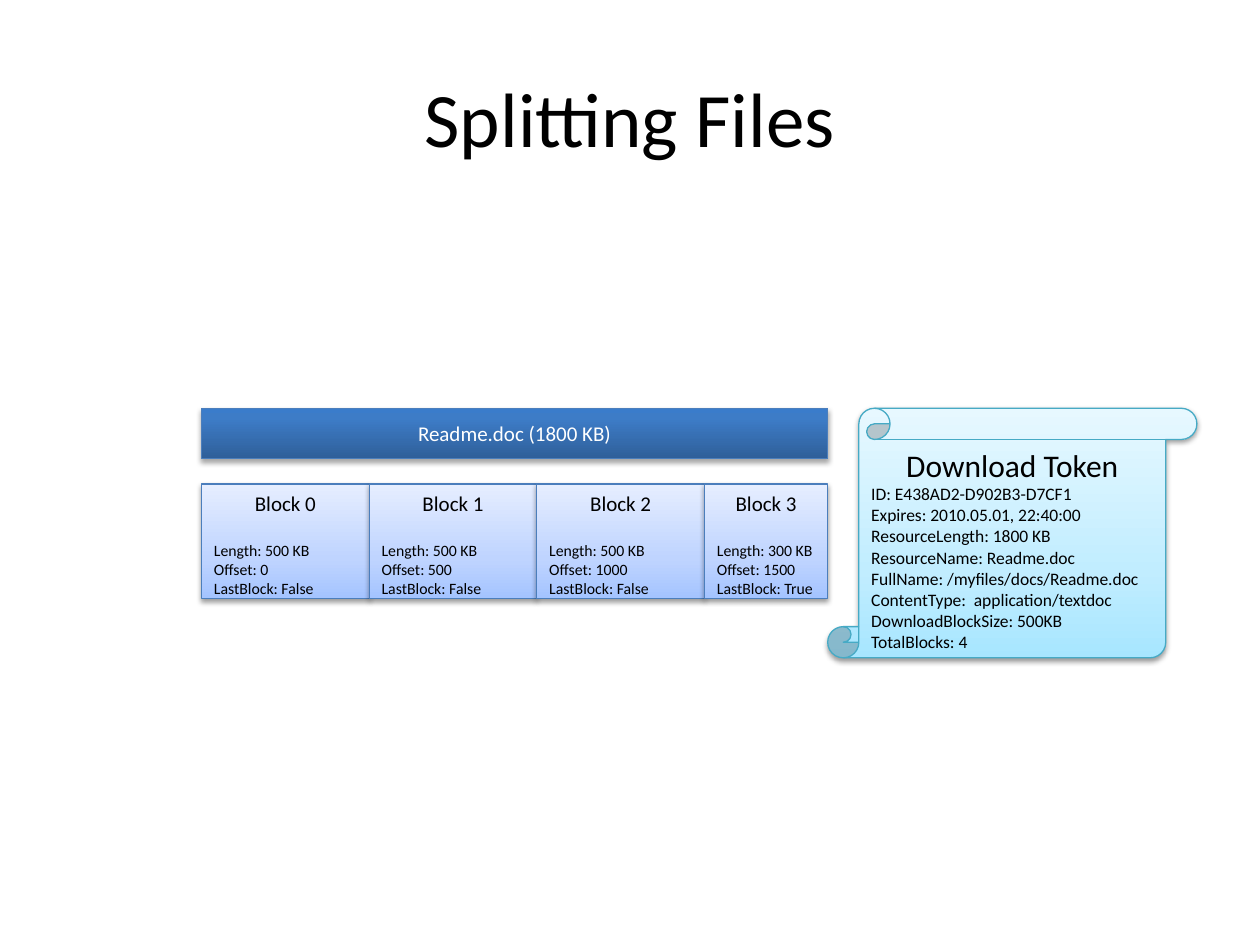
from dataclasses import dataclass

from lxml import etree
from pptx import Presentation
from pptx.dml.color import RGBColor
from pptx.enum import shapes as sh, text as tx
from pptx.oxml.ns import qn
from pptx.util import Pt

FONT = "Calibri"
BLACK, WHITE = "000000", "FFFFFF"


@dataclass(frozen=True)
class Style:
    stops: tuple
    line: str
    shadow_alpha: int
    shadow_distance: float


@dataclass(frozen=True)
class Block:
    length: int
    offset: int
    last: bool


BLOCK_STYLE = Style(((0, "A4C4FF"), (35, "BFD4FF"), (100, "E6EEFF")), "4B7EBC", 38, 1.6)
FILE_STYLE = Style(((0, "2F5F99"), (80, "3D7CC7"), (100, "3A7CCB")), "4B7EBC", 35, 1.8)
TOKEN_STYLE = Style(((0, "A7E6FF"), (35, "C1EDFF"), (100, "E7F8FF")), "46AAC5", 38, 1.6)


def color(value: str) -> RGBColor:
    return RGBColor.from_string(value)


def add_child(parent, tag: str, **attributes):
    return etree.SubElement(parent, qn(tag), {k: str(v) for k, v in attributes.items()})


def add_color(parent, value: str):
    return add_child(parent, "a:srgbClr", val=value)


def add_panel(preset, left: float, top: float, width: float, height: float,
              style: Style, anchor=tx.MSO_ANCHOR.TOP):
    """Draw a shape with an upward gradient and a soft shadow; return its text frame."""
    panel = slide.shapes.add_shape(preset, Pt(left), Pt(top), Pt(width), Pt(height))
    panel.line.color.rgb = color(style.line)
    panel.line.width = Pt(0.75)
    panel.fill.gradient()
    panel.fill.gradient_angle = 90
    properties = panel._element.spPr
    stop_list = properties.find(".//" + qn("a:gsLst"))
    for old_stop in list(stop_list):
        stop_list.remove(old_stop)
    for position, value in style.stops:
        add_color(add_child(stop_list, "a:gs", pos=position * 1000), value)

    panel.shadow.inherit = False
    shadow = add_child(properties.find(qn("a:effectLst")), "a:outerShdw",
                       blurRad=Pt(3.1), dist=Pt(style.shadow_distance),
                       dir=90 * 60000, rotWithShape=0)
    add_child(add_color(shadow, BLACK), "a:alpha", val=style.shadow_alpha * 1000)

    frame = panel.text_frame
    frame.word_wrap = True
    frame.vertical_anchor = anchor
    return frame


def write(paragraph, words: str, size: float, align, ink: str = BLACK) -> None:
    paragraph.alignment = align
    run = paragraph.add_run()
    run.text = words
    run.font.name, run.font.size = FONT, Pt(size)
    run.font.color.rgb = color(ink)


def write_card(frame, heading: str, heading_size: float, details: list,
               detail_size: float, gap: float = 0) -> None:
    """Write a centred heading, then left-aligned details after a gap."""
    write(frame.paragraphs[0], heading, heading_size, tx.PP_ALIGN.CENTER)
    for index, detail in enumerate(details):
        paragraph = frame.add_paragraph()
        if index == 0:
            paragraph.space_before = Pt(gap)
        write(paragraph, detail, detail_size, tx.PP_ALIGN.LEFT)


deck = Presentation()
deck.slide_width, deck.slide_height = Pt(720), Pt(540)
slide = deck.slides.add_slide(deck.slide_layouts[5])

# Title
title = slide.shapes.title
title.left, title.top, title.width, title.height = Pt(36), Pt(21.6), Pt(648), Pt(90)
title.text_frame.vertical_anchor = tx.MSO_ANCHOR.MIDDLE
write(title.text_frame.paragraphs[0], "Splitting Files", 44, tx.PP_ALIGN.CENTER)

# Blocks: full ones share a width, the last reaches the end of the file bar
FILE_LEFT, FILE_TOP, FILE_WIDTH = 115.2, 233.3, 357.8
BLOCK_WIDTH = 95.8
blocks = [Block(500, 0, False), Block(500, 500, False),
          Block(500, 1000, False), Block(300, 1500, True)]
for number, block in enumerate(blocks):
    start = number * BLOCK_WIDTH
    block_frame = add_panel(sh.MSO_SHAPE.RECTANGLE, FILE_LEFT + start, 276.5,
                            min(BLOCK_WIDTH, FILE_WIDTH - start), 65.5, BLOCK_STYLE)
    write_card(block_frame, f"Block {number}", 12,
               [f"Length: {block.length} KB", f"Offset: {block.offset}",
                f"LastBlock: {block.last}"], 9, gap=14.65)

# Whole file
file_frame = add_panel(sh.MSO_SHAPE.RECTANGLE, FILE_LEFT, FILE_TOP, FILE_WIDTH, 28.8,
                       FILE_STYLE, tx.MSO_ANCHOR.MIDDLE)
write(file_frame.paragraphs[0], "Readme.doc (1800 KB)", 12, tx.PP_ALIGN.CENTER, WHITE)

# Download token
token_frame = add_panel(sh.MSO_SHAPE.VERTICAL_SCROLL, FILE_LEFT + FILE_WIDTH, FILE_TOP,
                        211, 142.6, TOKEN_STYLE)
write_card(token_frame, "Download Token", 18, [
    "ID: E438AD2-D902B3-D7CF1",
    "Expires: 2010.05.01, 22:40:00",
    "ResourceLength: 1800 KB",
    "ResourceName: Readme.doc",
    "FullName: /myfiles/docs/Readme.doc",
    "ContentType:  application/textdoc",
    "DownloadBlockSize: 500KB",
    "TotalBlocks: 4",
], 10)

deck.save("out.pptx")
